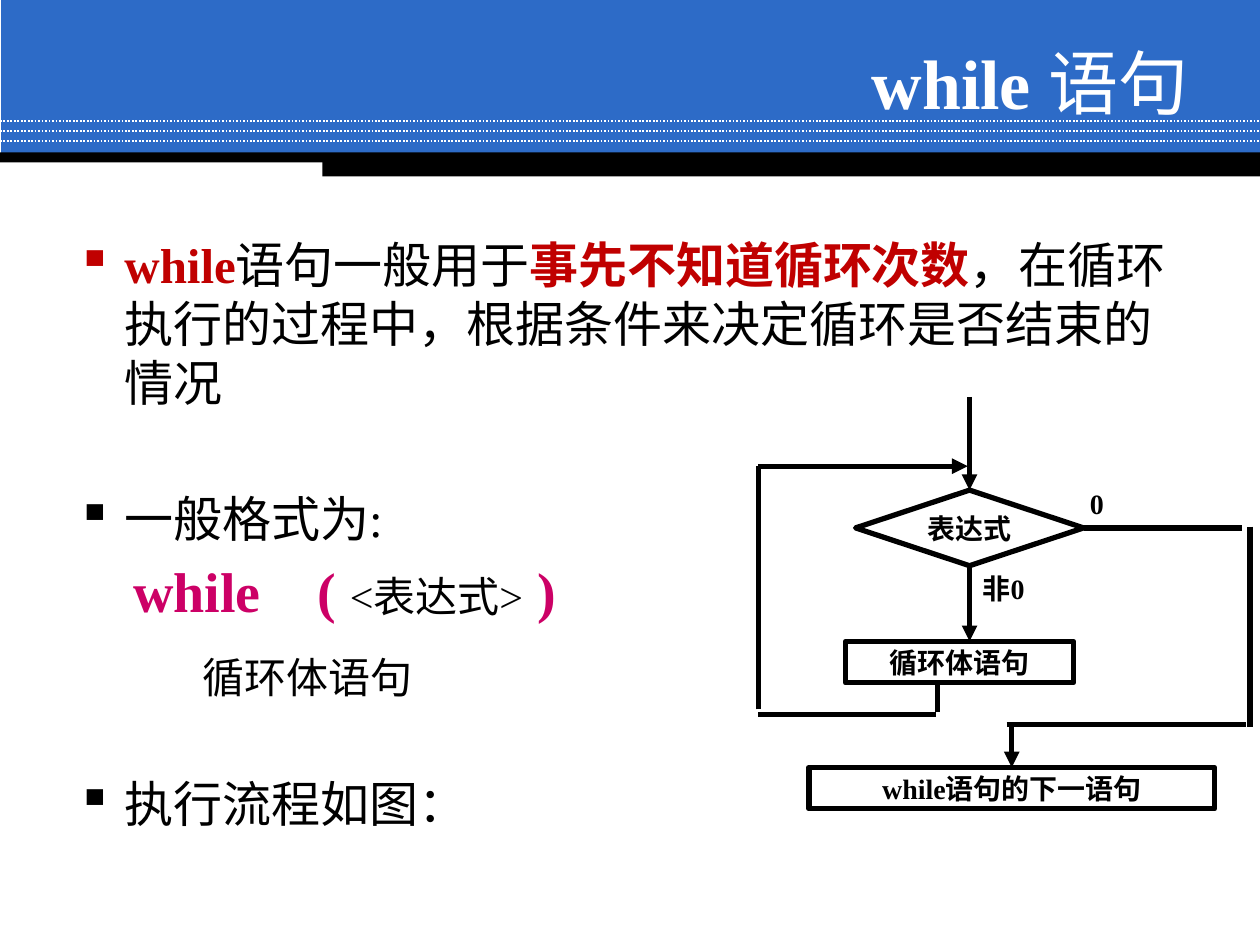
"""Build a slide that explains the while statement with a flow chart."""
from dataclasses import dataclass

from lxml import etree
from pptx import Presentation
from pptx.dml.color import RGBColor
from pptx.enum.dml import MSO_LINE
from pptx.enum.shapes import MSO_CONNECTOR, MSO_SHAPE
from pptx.enum.text import MSO_ANCHOR, PP_ALIGN
from pptx.oxml.ns import qn
from pptx.util import Inches, Pt

RECTANGLE, DIAMOND = MSO_SHAPE.RECTANGLE, MSO_SHAPE.DIAMOND
STRAIGHT, DOTTED = MSO_CONNECTOR.STRAIGHT, MSO_LINE.ROUND_DOT
LEFT, CENTER, RIGHT = PP_ALIGN.LEFT, PP_ALIGN.CENTER, PP_ALIGN.RIGHT
TOP, MIDDLE = MSO_ANCHOR.TOP, MSO_ANCHOR.MIDDLE
SIDE_TOP, SIDE_BOTTOM, SIDE_RIGHT = 0, 2, 3


@dataclass(frozen=True)
class Theme:
    """Colours, type sizes in points and the grid pitch in inches."""
    font: str = "Times New Roman"
    blue: str = "2D6BC7"
    white: str = "FFFFFF"
    black: str = "000000"
    red: str = "C00000"
    pink: str = "CC0066"
    title: int = 40
    keyword: int = 32
    body: int = 28
    code: int = 24
    label: int = 16
    stroke: int = 3
    pitch: float = 0.1


THEME = Theme()


@dataclass(frozen=True)
class Area:
    """A rectangle in columns and rows of the 100 by 75 grid."""
    column: float
    row: float
    columns: float
    rows: float


@dataclass(frozen=True)
class Span:
    """A piece of text with one format."""
    text: str
    size: int = THEME.body
    color: str = THEME.black
    bold: bool = False


@dataclass(frozen=True)
class Item:
    """A body paragraph with its indent in columns and spacing in points."""
    spans: tuple
    before: float
    pitch: float = 33.7
    margin: float = 3.8
    bullet: bool = True


@dataclass(frozen=True)
class Step:
    """A flow chart node."""
    text: str
    shape: int
    area: Area


@dataclass(frozen=True)
class Flow:
    """A flow chart line, joined to the decision where a side is given."""
    start: tuple
    end: tuple
    arrow: bool = False
    begin_side: int | None = None
    end_side: int | None = None


BANDS = (
    (Area(0.1, 0, 99.9, 12.3), THEME.blue),
    (Area(0, 12.1, 100, 0.8), THEME.black),
    (Area(25.6, 12.4, 74.4, 1.6), THEME.black),
)
DOTTED_ROWS = (9.6, 10.4, 11.2)
TITLE = (Span("while ", THEME.title, THEME.white, True),
         Span("语句", THEME.title, THEME.white))
ITEMS = (
    Item((Span("while", color=THEME.red, bold=True),
          Span("语句一般用于"),
          Span("事先不知道循环次数", color=THEME.red, bold=True),
          Span("，在循环执行的过程中，根据条件来决定循环是否结束的情况")), 2),
    Item((Span("一般格式为:"),), 44),
    Item((Span("while　( ", THEME.keyword, THEME.pink, True),
          Span("<表达式>", THEME.code),
          Span(" )", THEME.keyword, THEME.pink, True)), 7.6, 36, 4.5, False),
    Item((Span("循环体语句", THEME.code),), 14.6, 30, 10, False),
    Item((Span("执行流程如图："),), 41.3),
)
DECISION = Step("表达式", DIAMOND, Area(67.9, 38.9, 18.1, 6))
STEPS = (
    Step("循环体语句", RECTANGLE, Area(67.1, 50.9, 18.1, 3.3)),
    Step("while语句的下一语句", RECTANGLE, Area(64.2, 60.9, 32.2, 3.3)),
)
AXIS = DECISION.area.column + DECISION.area.columns / 2
LEVEL = DECISION.area.row + DECISION.area.rows / 2
FLOWS = (
    Flow((AXIS, 31.5), (AXIS, 38.9), True, end_side=SIDE_TOP),
    Flow((AXIS, 44.9), (AXIS, 50.9), True, begin_side=SIDE_BOTTOM),
    Flow((86, LEVEL), (98.6, LEVEL), begin_side=SIDE_RIGHT),
    Flow((99.2, 41.8), (99.2, 57.7)),
    Flow((79.9, 57.5), (98.9, 57.5)),
    Flow((80.3, 57.6), (80.3, 60.9), True),
    Flow((74.4, 54.4), (74.4, 56.5)),
    Flow((60.2, 56.7), (74.3, 56.7)),
    Flow((60.2, 56.3), (60.2, 37)),
    Flow((60.2, 37), (76.8, 37), True),
)
LABELS = (("0", Area(85.5, 38.1, 3.1, 3.7)), ("非0", Area(77, 44.9, 5.3, 3.7)))


def grid(cells: float) -> int:
    """Turn grid cells into a length."""
    return Inches(cells * THEME.pitch)


def place(area: Area) -> tuple:
    """Return left, top, width and height of an area."""
    return tuple(map(grid, (area.column, area.row, area.columns, area.rows)))


def add_text(para, text: str, *, size: int, color: str, bold: bool) -> None:
    """Append formatted text to a paragraph."""
    run = para.add_run()
    run.text = text
    run.font.name = THEME.font
    run.font.size = Pt(size)
    run.font.bold = bold
    run.font.color.rgb = RGBColor.from_string(color)


def add_spans(para, spans: tuple, align=LEFT) -> None:
    """Fill a paragraph with spans."""
    para.alignment = align
    for span in spans:
        add_text(para, span.text, size=span.size, color=span.color, bold=span.bold)


def add_box(page, area: Area, anchor=TOP):
    """Add a wrapping text box and return its frame."""
    frame = page.shapes.add_textbox(*place(area)).text_frame
    frame.word_wrap = True
    frame.vertical_anchor = anchor
    return frame


def add_line(page, start: tuple, end: tuple, color: str, width: float):
    """Add a straight line without a shadow."""
    line = page.shapes.add_connector(STRAIGHT, *map(grid, start + end))
    line.line.color.rgb = RGBColor.from_string(color)
    line.line.width = Pt(width)
    etree.SubElement(line._element.spPr, qn("a:effectLst"))
    return line


def add_header(page) -> None:
    """Draw the title band, its dotted lines and the title."""
    for area, color in BANDS:
        band = page.shapes.add_shape(RECTANGLE, *place(area))
        band.shadow.inherit = False
        band.fill.solid()
        band.fill.fore_color.rgb = RGBColor.from_string(color)
        band.line.fill.background()
    for row in DOTTED_ROWS:
        add_line(page, (0, row), (100, row), THEME.white, 1).line.dash_style = DOTTED
    frame = add_box(page, Area(27.5, 3.6, 69.2, 5.8), MIDDLE)
    frame.margin_right = grid(2.4)
    add_spans(frame.paragraphs[0], TITLE, RIGHT)


def add_body(page) -> None:
    """Write the bulleted explanation."""
    frame = add_box(page, Area(5.1, 18.1, 90, 37))
    for index, item in enumerate(ITEMS):
        para = frame.add_paragraph() if index else frame.paragraphs[0]
        add_spans(para, item.spans)
        para.space_before = Pt(item.before)
        para.line_spacing = Pt(item.pitch)
        properties = para._p.get_or_add_pPr()
        properties.set("marL", str(grid(item.margin)))
        properties.set("indent", str(-grid(item.margin) if item.bullet else 0))
        if item.bullet:
            etree.SubElement(properties, qn("a:buChar")).set("char", "▪")


def add_step(page, step: Step):
    """Draw a flow chart node."""
    node = page.shapes.add_shape(step.shape, *place(step.area))
    node.shadow.inherit = False
    node.fill.background()
    node.line.color.rgb = RGBColor.from_string(THEME.black)
    node.line.width = Pt(THEME.stroke)
    node.text_frame.word_wrap = False
    node.text_frame.vertical_anchor = MIDDLE
    add_spans(node.text_frame.paragraphs[0], (Span(step.text, THEME.label, bold=True),), CENTER)
    return node


def add_flow(page, flow: Flow, decision) -> None:
    """Draw a flow chart line."""
    line = add_line(page, flow.start, flow.end, THEME.black, THEME.stroke)
    if flow.begin_side is not None:
        line.begin_connect(decision, flow.begin_side)
    if flow.end_side is not None:
        line.end_connect(decision, flow.end_side)
    if flow.arrow:
        etree.SubElement(line.line._get_or_add_ln(), qn("a:tailEnd")).set("type", "triangle")


def add_chart(page) -> None:
    """Draw the flow chart of the loop."""
    decision = add_step(page, DECISION)
    for step in STEPS:
        add_step(page, step)
    for flow in FLOWS:
        add_flow(page, flow, decision)
    for text, area in LABELS:
        para = add_box(page, area).paragraphs[0]
        add_spans(para, (Span(text, THEME.label, bold=True),), CENTER)


def main() -> None:
    """Build and save the deck."""
    deck = Presentation()
    deck.slide_width, deck.slide_height = grid(100), grid(75)
    page = deck.slides.add_slide(deck.slide_layouts[6])
    add_header(page)
    add_body(page)
    add_chart(page)
    deck.save("out.pptx")


if __name__ == "__main__":
    main()
